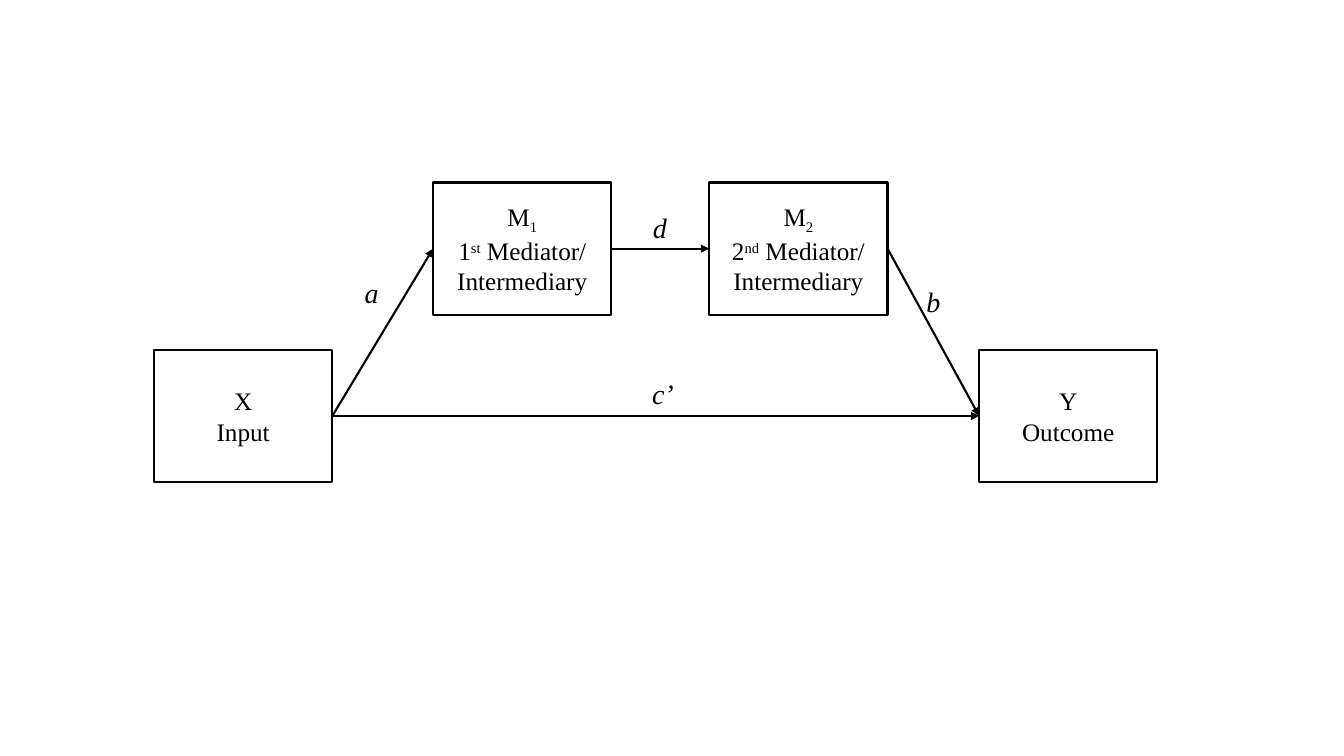
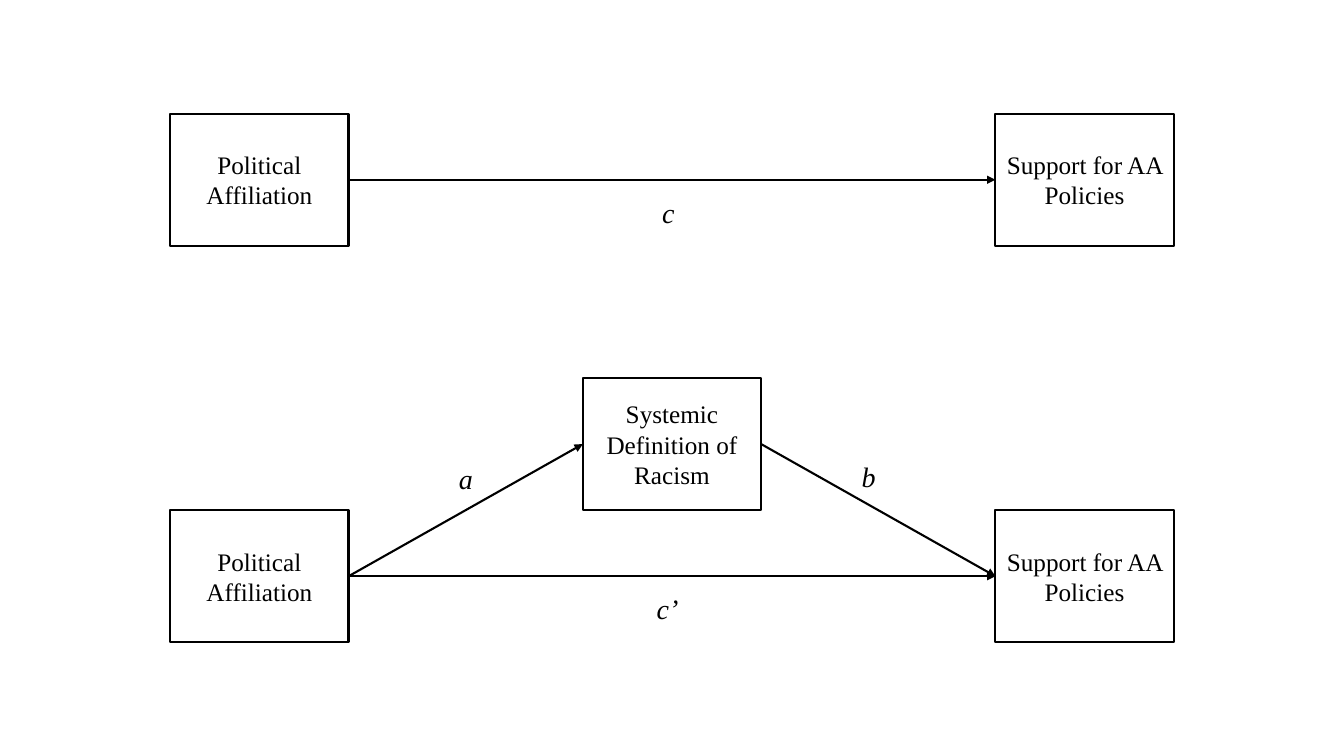
from pptx import Presentation
from pptx.dml.color import RGBColor
from pptx.enum.shapes import MSO_CONNECTOR as CONN, MSO_SHAPE as SHAPE
from pptx.enum.text import MSO_ANCHOR as ANCHOR, MSO_AUTO_SIZE as FIT, PP_ALIGN as ALIGN
from pptx.oxml.ns import qn
from pptx.util import Pt
from lxml.etree import SubElement

BLACK = RGBColor(0, 0, 0)
WHITE = RGBColor(255, 255, 255)
BOX_W, BOX_H = 127.4, 94.4
SPAN = 589.4  # from the left edge of the first box to that of the last
LINE_W = 1.5
LABEL_H = 31.5
LEFT_SITE, RIGHT_SITE = 1, 3
SUB, SUP = -25000, 30000

NODE_FONT = {"name": "Times New Roman", "size": Pt(18)}
LABEL_FONT = {"name": "Times New Roman", "size": Pt(20), "italic": True}


def add_run(p, text, font, baseline=0):
    """Add one run in the given font, raised or lowered by the baseline."""
    r = p.add_run()
    r.text = text
    for name, value in font.items():
        setattr(r.font, name, value)
    r.font.color.rgb = BLACK
    if baseline:
        r.font._element.set("baseline", str(baseline))


def add_node(shapes, left, top, *paragraphs):
    """Draw a box; a paragraph is a string or a list of (text, baseline) runs."""
    sp = shapes.add_shape(SHAPE.RECTANGLE, Pt(left), Pt(top), Pt(BOX_W), Pt(BOX_H))
    sp.shadow.inherit = False
    sp.fill.solid()
    sp.fill.fore_color.rgb = WHITE
    sp.line.color.rgb = BLACK
    sp.line.width = Pt(LINE_W)
    tf = sp.text_frame
    tf.word_wrap = True
    tf.vertical_anchor = ANCHOR.MIDDLE
    for i, runs in enumerate(paragraphs):
        p = tf.add_paragraph() if i else tf.paragraphs[0]
        p.alignment = ALIGN.CENTER
        for text, baseline in [(runs, 0)] if isinstance(runs, str) else runs:
            for k, line in enumerate(text.split("\n")):
                if k:
                    p.add_line_break()
                add_run(p, line, NODE_FONT, baseline)
    return sp


def add_path(shapes, start, end, label, dx, dy, width, align=ALIGN.LEFT):
    """Join two boxes by an arrow, its label offset from the arrow's middle."""
    x1, y1 = start.left + start.width, start.top + start.height // 2
    x2, y2 = end.left, end.top + end.height // 2
    arrow = shapes.add_connector(CONN.STRAIGHT, x1, y1, x2, y2)
    arrow.begin_connect(start, RIGHT_SITE)
    arrow.end_connect(end, LEFT_SITE)
    arrow.line.color.rgb = BLACK
    arrow.line.width = Pt(LINE_W)
    SubElement(arrow.line._get_or_add_ln(), qn("a:tailEnd")).set("type", "triangle")
    SubElement(arrow._element.spPr, qn("a:effectLst"))

    box = shapes.add_textbox((x1 + x2) // 2 + Pt(dx), (y1 + y2) // 2 + Pt(dy),
                             Pt(width), Pt(LABEL_H))
    tf = box.text_frame
    tf.word_wrap = True
    tf.auto_size = FIT.SHAPE_TO_FIT_TEXT
    p = tf.paragraphs[0]
    p.alignment = align
    add_run(p, label, LABEL_FONT)


def serial_mediation(s, left, top):
    """Draw X and Y joined through two mediators and by a direct path."""
    shapes = s.shapes.add_group_shape().shapes
    base = top + 119.5
    x = add_node(shapes, left, base, "X", "Input")
    m1, m2 = (
        add_node(shapes, left + dx, top, [("M", 0), (number, SUB)],
                 [(number, 0), (ending, SUP), (" Mediator/\nIntermediary", 0)])
        for dx, number, ending in [(199.4, "1", "st"), (396.6, "2", "nd")])
    y = add_node(shapes, left + SPAN, base, "Y", "Outcome")
    add_path(shapes, x, m1, "a", -20, -44, 41)
    add_path(shapes, m1, m2, "d", -12.5, -31, 41)
    add_path(shapes, m2, y, "b", -12, -38, 36.7)
    add_path(shapes, x, y, "c’", -9.7, -31.5, 31)


def affiliation_and_support(shapes, left, top):
    """Draw the outer boxes shared by both policy models."""
    return (add_node(shapes, left, top, "Political Affiliation"),
            add_node(shapes, left + SPAN, top, "Support for AA Policies"))


def direct_effect(s, left, top):
    """Draw the model with the total effect only."""
    shapes = s.shapes.add_group_shape().shapes
    affiliation, support = affiliation_and_support(shapes, left, top)
    add_path(shapes, affiliation, support, "c", -18, 7.5, 31, ALIGN.CENTER)


def simple_mediation(s, left, top):
    """Draw the model with one mediator, centred one box height above."""
    shapes = s.shapes.add_group_shape().shapes
    affiliation, support = affiliation_and_support(shapes, left, top + BOX_H)
    definition = add_node(shapes, left + SPAN / 2, top,
                          "Systemic Definition of Racism")
    add_path(shapes, affiliation, definition, "a", -12, -38, 24.5)
    add_path(shapes, definition, support, "b", -19, -40, 24.5)
    add_path(shapes, affiliation, support, "c’", -18, 7.5, 31)


prs = Presentation()
prs.slide_width, prs.slide_height = Pt(960), Pt(540)
blank = prs.slide_layouts[6]

serial_mediation(prs.slides.add_slide(blank), 110, 130.4)

policy_slide = prs.slides.add_slide(blank)
direct_effect(policy_slide, 121.6, 81.2)
simple_mediation(policy_slide, 121.6, 270)

prs.save("out.pptx")
